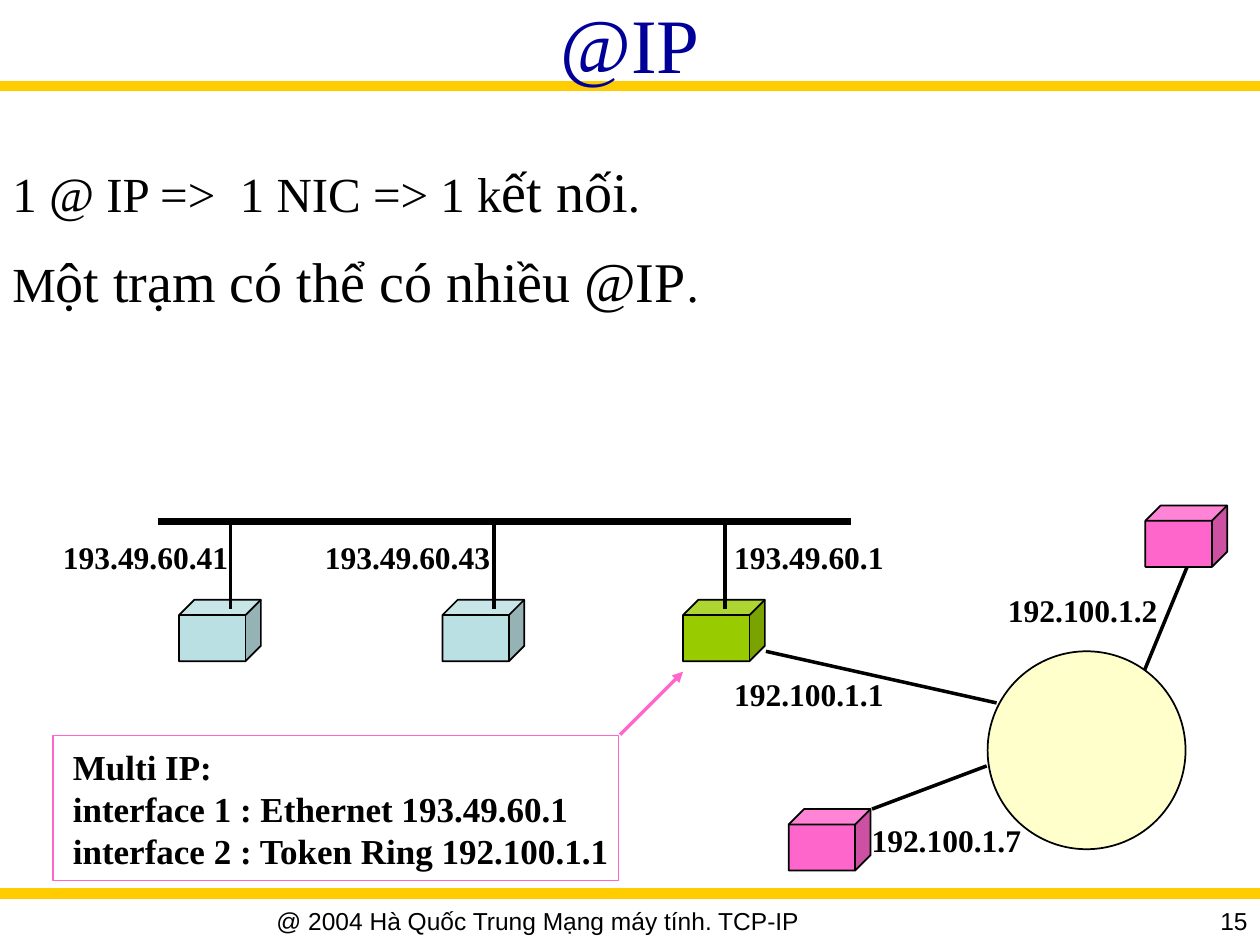
"""Build the slide showing one IP address per network interface."""
from dataclasses import dataclass

import pptx
import pptx.dml.color
import pptx.enum.shapes
import pptx.enum.text
import pptx.oxml
import pptx.oxml.ns
import pptx.util
from pptx.util import Cm

PRESET = pptx.enum.shapes.MSO_SHAPE
ALIGN = pptx.enum.text.PP_ALIGN
ANCHOR = pptx.enum.text.MSO_ANCHOR
SERIF = "Times New Roman"
BLACK, PINK, PALE_BLUE, GREEN, GOLD = "000000", "FF66CC", "BBE0E3", "99CC00", "FFCC00"


@dataclass(frozen=True)
class Host:
    left: float
    top: float
    fill: str


@dataclass(frozen=True)
class Link:
    x1: float
    y1: float
    x2: float
    y2: float
    color: str = BLACK
    width: float = 2
    arrow: bool = False


@dataclass(frozen=True)
class Address:
    text: str
    left: float
    top: float
    width: float = 3.53


LAN_TOP, LAN_LABEL_TOP = 12.09, 10.72
HOSTS = [
    Host(3.61, LAN_TOP, PALE_BLUE),
    Host(8.92, LAN_TOP, PALE_BLUE),
    Host(13.77, LAN_TOP, GREEN),
    Host(23.09, 10.19, PINK),
    Host(15.9, 16.31, PINK),
]
RULES = [Link(0, y, 25.4, y, GOLD, 6) for y in (1.73, 18.01)]
LINKS = [
    Link(3.18, 10.52, 17.15, 10.52, width=4),
    *(Link(x, 10.59, x, 12.27) for x in (4.65, 9.96, 14.61)),
    Link(15.44, 13.13, 20.09, 14.17),
    Link(19.89, 15.44, 17.58, 16.31),
    Link(23.93, 11.43, 23.06, 13.54),
    Link(12.5, 14.81, 13.77, 13.54, PINK, arrow=True),
]
ADDRESSES = [
    Address("193.49.60.41", 1.02, LAN_LABEL_TOP, 3.84),
    Address("193.49.60.43", 6.3, LAN_LABEL_TOP, 3.84),
    Address("193.49.60.1", 14.55, LAN_LABEL_TOP),
    Address("192.100.1.1", 14.55, 13.49),
    Address("192.100.1.2", 20.07, 11.79),
    Address("192.100.1.7", 17.32, 16.43),
]
STATEMENTS = [
    [("1 @ IP =>  1 NIC => 1 k", 28), ("ết nối", 32), (".", 28)],
    [("M", 28), ("ột trạm có thể có nhiều @IP", 32), (".", 28)],
]
INTERFACES = "Multi IP:\ninterface 1 : Ethernet 193.49.60.1\ninterface 2 : Token Ring 192.100.1.1"


def rgb(color: str) -> pptx.dml.color.RGBColor:
    return pptx.dml.color.RGBColor.from_string(color)


def style(font, size: float, color: str = BLACK, name: str = SERIF, bold: bool = False) -> None:
    font.size, font.name, font.bold = pptx.util.Pt(size), name, bold
    font.color.rgb = rgb(color)


def draw_link(slide, link: Link) -> None:
    connector = slide.shapes.add_connector(
        pptx.enum.shapes.MSO_CONNECTOR.STRAIGHT,
        Cm(link.x1), Cm(link.y1), Cm(link.x2), Cm(link.y2))
    connector.line.color.rgb = rgb(link.color)
    connector.line.width = pptx.util.Pt(link.width)
    if link.arrow:
        tail = pptx.oxml.parse_xml(f'<a:tailEnd {pptx.oxml.ns.nsdecls("a")} type="triangle"/>')
        connector.line._get_or_add_ln().append(tail)
    effects = pptx.oxml.parse_xml(f'<a:effectLst {pptx.oxml.ns.nsdecls("a")}/>')
    connector._element.spPr.append(effects)


def draw_shape(slide, preset, left: float, top: float, width: float, height: float,
               fill: str | None, line: str = BLACK):
    shape = slide.shapes.add_shape(preset, Cm(left), Cm(top), Cm(width), Cm(height))
    shape.shadow.inherit = False
    if fill:
        shape.fill.solid()
        shape.fill.fore_color.rgb = rgb(fill)
    else:
        shape.fill.background()
    shape.line.color.rgb = rgb(line)
    shape.line.width = pptx.util.Pt(1)
    return shape


def draw_text(slide, text: str, left: float, top: float, width: float, height: float,
              size: float, name: str = SERIF, bold: bool = False,
              align=ALIGN.LEFT, wrap: bool = False) -> None:
    frame = slide.shapes.add_textbox(Cm(left), Cm(top), Cm(width), Cm(height)).text_frame
    frame.word_wrap = wrap
    frame.text = text
    for paragraph in frame.paragraphs:
        paragraph.alignment = align
        for run in paragraph.runs:
            style(run.font, size, name=name, bold=bold)


def draw_title(slide) -> None:
    title = slide.shapes.title
    title.left, title.top, title.width, title.height = Cm(0), Cm(0), Cm(25.4), Cm(1.73)
    frame = title.text_frame
    frame.text = "@IP"
    frame.vertical_anchor = ANCHOR.MIDDLE
    frame.auto_size = pptx.enum.text.MSO_AUTO_SIZE.NONE
    frame.paragraphs[0].alignment = ALIGN.CENTER
    style(frame.paragraphs[0].runs[0].font, 44, "000099")
    title.element.getparent().append(title.element)


def draw_statements(slide) -> None:
    frame = slide.shapes.add_textbox(Cm(0), Cm(3.18), Cm(25.2), Cm(6.55)).text_frame
    frame.word_wrap = True
    for index, statement in enumerate(STATEMENTS):
        paragraph = frame.add_paragraph() if index else frame.paragraphs[0]
        paragraph.alignment = ALIGN.JUSTIFY
        paragraph.line_spacing = 0.9
        if index:
            paragraph.space_before = pptx.util.Pt(16.8)
        for text, size in statement:
            run = paragraph.add_run()
            run.text = text
            style(run.font, size)


def main() -> None:
    deck = pptx.Presentation()
    deck.slide_width, deck.slide_height = Cm(25.4), Cm(19.05)
    slide = deck.slides.add_slide(deck.slide_layouts[5])
    for rule in RULES:
        draw_link(slide, rule)
    draw_title(slide)
    draw_statements(slide)
    for host in HOSTS:
        cube = draw_shape(slide, PRESET.CUBE, host.left, host.top, 1.65, 1.24, host.fill)
        cube.adjustments[0] = 0.25
    for link in LINKS:
        draw_link(slide, link)
    for address in ADDRESSES:
        draw_text(slide, address.text, address.left, address.top, address.width, 1.02, 18, bold=True)
    draw_shape(slide, PRESET.OVAL, 19.91, 13.13, 3.99, 3.99, "FFFFCC")
    draw_text(slide, INTERFACES, 1.22, 14.91, 11.4, 2.79, 20, bold=True)
    draw_shape(slide, PRESET.RECTANGLE, 1.07, 14.83, 11.4, 2.92, None, PINK)
    draw_text(slide, "@ 2004 Hà Quốc Trung Mạng máy tính. TCP-IP", 0, 18.14, 21.69, 0.91,
              14, "Arial", align=ALIGN.CENTER, wrap=True)
    draw_text(slide, "15", 21.79, 18.14, 3.61, 0.79, 14, "Arial", align=ALIGN.RIGHT, wrap=True)
    deck.save("out.pptx")


if __name__ == "__main__":
    main()
